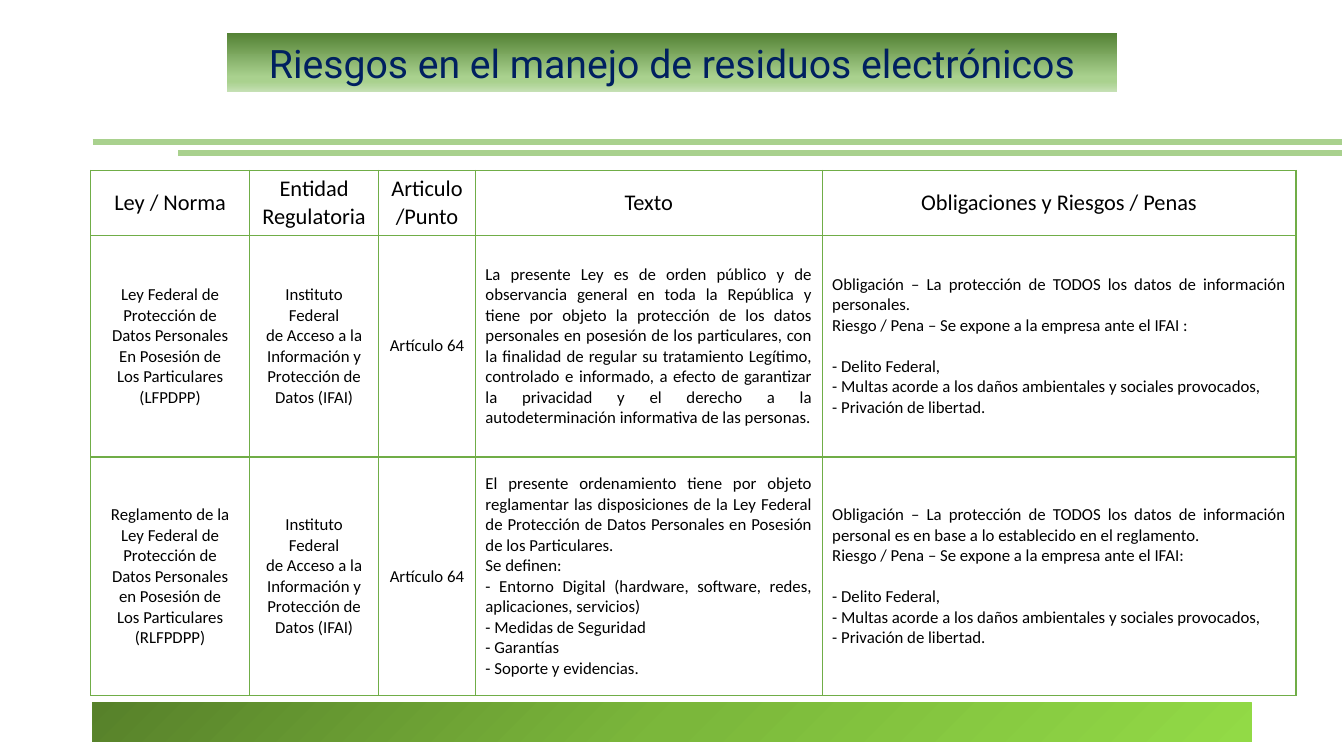
from dataclasses import dataclass

from lxml import etree
from pptx import Presentation
from pptx.dml.color import RGBColor
from pptx.enum.shapes import MSO_CONNECTOR as Connector, MSO_SHAPE as Shape
from pptx.enum.text import MSO_ANCHOR as Anchor, MSO_AUTO_SIZE as AutoSize, PP_ALIGN as Align
from pptx.oxml import parse_xml
from pptx.oxml.ns import nsdecls, qn
from pptx.util import Pt


@dataclass(frozen=True)
class Theme:
    title_font: str = "Roboto"
    body_font: str = "Calibri"
    title_size: int = 28
    header_size: int = 16
    body_size: int = 12
    title_color: str = "002060"
    text_color: str = "000000"
    rule_color: str = "A9D18E"
    border_color: str = "70AD47"
    title_stops: tuple = ((0, "548235"), (74, "A9D18E"), (83, "A9D18E"), (100, "C5E0B4"))
    footer_stops: tuple = ((0, "57812A"), (50, "7BB73B"), (100, "92DA46"))


THEME = Theme()
LINEAR_DOWN = '<a:lin ang="5400000" scaled="0"/>'
FROM_CORNER = '<a:path path="circle"><a:fillToRect r="100000" b="100000"/></a:path>'

TITLE = "Riesgos en el manejo de residuos electrónicos"
HEADERS = [
    ["Ley / Norma"], ["Entidad", "Regulatoria"], ["Articulo", "/Punto"],
    ["Texto"], ["Obligaciones y Riesgos / Penas"],
]
REGULATOR = ["Instituto Federal", "de Acceso a la Información y Protección de", "Datos (IFAI)"]
ARTICLE = ["Artículo 64"]
FIRST_PENALTY = "- Delito Federal,"
PENALTIES = [
    FIRST_PENALTY,
    "- Multas acorde a los daños ambientales y sociales provocados,",
    "- Privación de libertad.",
]
LAWS = [
    [
        ["Ley Federal de", "Protección de", "Datos Personales", "En Posesión de",
         "Los Particulares", "(LFPDPP)"],
        REGULATOR,
        ARTICLE,
        ["La presente Ley es de orden público y de observancia general en toda la República y "
         "tiene por objeto la protección de los datos personales en posesión de los particulares, "
         "con la finalidad de regular su tratamiento Legítimo, controlado e informado, a efecto de "
         "garantizar la privacidad y el derecho a la autodeterminación informativa de las personas."],
        ["Obligación – La protección de TODOS los datos de información personales.",
         "Riesgo / Pena – Se expone a la empresa ante el IFAI :", *PENALTIES],
    ],
    [
        ["Reglamento de la", "Ley Federal de", "Protección de", "Datos Personales",
         "en Posesión de", "Los Particulares", "(RLFPDPP)"],
        REGULATOR,
        ARTICLE,
        ["El presente ordenamiento tiene por objeto reglamentar las disposiciones de la Ley Federal "
         "de Protección de Datos Personales en Posesión de los Particulares.",
         "Se definen:",
         "- Entorno Digital (hardware, software, redes, aplicaciones, servicios)",
         "- Medidas de Seguridad", "- Garantías", "- Soporte y evidencias."],
        ["Obligación – La protección de TODOS los datos de información personal es en base a lo "
         "establecido en el reglamento.",
         "Riesgo / Pena – Se expone a la empresa ante el IFAI:", *PENALTIES],
    ],
]
COLUMN_WIDTHS = [113.5, 92.2, 69.1, 247.7, 338.5]
ROW_HEIGHTS = [46.2, 158.4, 170.6]
PENALTY_GAP = 14.65


def place(shape, box):
    shape.left, shape.top, shape.width, shape.height = map(Pt, box)


def fill_gradient(shape, stops, direction):
    colors = "".join(
        f'<a:gs pos="{percent * 1000}"><a:srgbClr val="{color}"/></a:gs>' for percent, color in stops)
    shape.fill.background()
    properties = shape._element.spPr
    gradient = parse_xml(
        f'<a:gradFill {nsdecls("a")} rotWithShape="1"><a:gsLst>{colors}</a:gsLst>{direction}</a:gradFill>')
    properties.replace(properties.find(qn("a:noFill")), gradient)


def add_text(paragraph, text, font_name, size, color, align):
    paragraph.alignment = align
    run = paragraph.add_run()
    run.text = text
    run.font.name = font_name
    run.font.size = Pt(size)
    run.font.bold = False
    run.font.color.rgb = RGBColor.from_string(color)


def add_title(slide, box):
    title = slide.shapes.title
    place(title, box)
    fill_gradient(title, THEME.title_stops, LINEAR_DOWN)
    frame = title.text_frame
    frame.word_wrap = True
    frame.auto_size = AutoSize.NONE
    frame.vertical_anchor = Anchor.MIDDLE
    add_text(frame.paragraphs[0], TITLE, THEME.title_font, THEME.title_size,
             THEME.title_color, Align.CENTER)


def add_double_rule(slide, box):
    """Draw two rules to the right edge, the lower one indented."""
    left, top, width, height = box
    for indent, drop in ((61.2, height), (0, 0)):
        rule = slide.shapes.add_connector(
            Connector.STRAIGHT, Pt(left + indent), Pt(top + drop), Pt(left + width), Pt(top + drop))
        rule.line.color.rgb = RGBColor.from_string(THEME.rule_color)
        rule.line.width = Pt(4)
        etree.SubElement(rule._element.spPr, qn("a:effectLst"))


def add_footer_bar(slide, box):
    bar = slide.shapes.add_shape(Shape.RECTANGLE, *map(Pt, box))
    bar.shadow.inherit = False
    bar.line.fill.background()
    fill_gradient(bar, THEME.footer_stops, FROM_CORNER)


def set_borders(cell):
    properties = cell._tc.get_or_add_tcPr()
    for position, side in enumerate("LRTB"):
        properties.insert(position, parse_xml(
            f'<a:ln{side} {nsdecls("a")} w="{Pt(1)}"><a:solidFill>'
            f'<a:srgbClr val="{THEME.border_color}"/></a:solidFill></a:ln{side}>'))


def fill_cell(cell, lines, size, align):
    cell.fill.background()
    cell.vertical_anchor = Anchor.MIDDLE
    set_borders(cell)
    frame = cell.text_frame
    for index, line in enumerate(lines):
        paragraph = frame.add_paragraph() if index else frame.paragraphs[0]
        if line == FIRST_PENALTY:
            paragraph.space_before = Pt(PENALTY_GAP)
        add_text(paragraph, line, THEME.body_font, size, THEME.text_color, align)


def add_law_table(slide, box):
    rows = [HEADERS, *LAWS]
    table = slide.shapes.add_table(len(rows), len(HEADERS), *map(Pt, box)).table
    table.first_row = table.horz_banding = False
    for column, width in zip(table.columns, COLUMN_WIDTHS):
        column.width = Pt(width)
    for row, height in zip(table.rows, ROW_HEIGHTS):
        row.height = Pt(height)
    for row_index, row in enumerate(rows):
        size = THEME.body_size if row_index else THEME.header_size
        for column_index, lines in enumerate(row):
            justified = row_index > 0 and column_index > 2
            fill_cell(table.cell(row_index, column_index), lines, size,
                      Align.JUSTIFY if justified else Align.CENTER)


def main():
    deck = Presentation()
    deck.slide_width, deck.slide_height = Pt(960), Pt(540)
    slide = deck.slides.add_slide(deck.slide_layouts[5])
    add_footer_bar(slide, (66.2, 501.8, 828, 28.1))
    add_double_rule(slide, (66.2, 101.5, 892.1, 7.9))
    add_law_table(slide, (64.8, 121.7, sum(COLUMN_WIDTHS), sum(ROW_HEIGHTS)))
    add_title(slide, (162, 23.8, 635.8, 41.8))
    deck.save("out.pptx")


if __name__ == "__main__":
    main()
